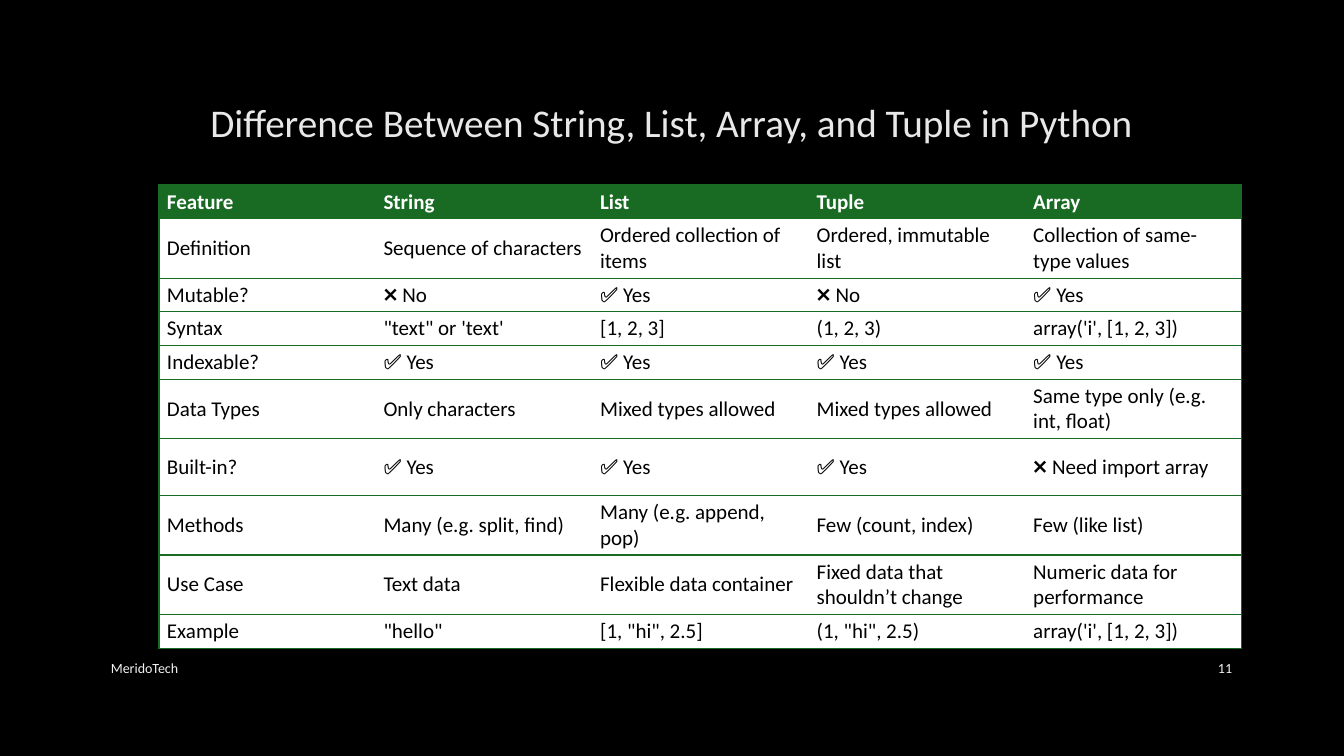
"""Build a slide that compares Python's string, list, tuple and array."""
from lxml.etree import SubElement
from pptx import Presentation
from pptx.dml.color import RGBColor
from pptx.enum.text import MSO_ANCHOR, PP_ALIGN
from pptx.oxml import parse_xml
from pptx.oxml.ns import nsdecls, qn
from pptx.util import Emu, Pt

TITLE = "Difference Between String, List, Array, and Tuple in Python"
ROWS = [
    ("Feature", "String", "List", "Tuple", "Array"),
    ("Definition", "Sequence of characters", "Ordered collection of items",
     "Ordered, immutable list", "Collection of same-type values"),
    ("Mutable?", "❌ No", "✅ Yes", "❌ No", "✅ Yes"),
    ("Syntax", "\"text\" or 'text'", "[1, 2, 3]", "(1, 2, 3)", "array('i', [1, 2, 3])"),
    ("Indexable?", "✅ Yes", "✅ Yes", "✅ Yes", "✅ Yes"),
    ("Data Types", "Only characters", "Mixed types allowed",
     "Mixed types allowed", "Same type only (e.g. int, float)"),
    ("Built-in?", "✅ Yes", "✅ Yes", "✅ Yes", "❌ Need import array"),
    ("Methods", "Many (e.g. split, find)", "Many (e.g. append, pop)",
     "Few (count, index)", "Few (like list)"),
    ("Use Case", "Text data", "Flexible data container",
     "Fixed data that shouldn’t change", "Numeric data for performance"),
    ("Example", '"hello"', '[1, "hi", 2.5]', '(1, "hi", 2.5)', "array('i', [1, 2, 3])"),
]
SHORT, TALL = 33, 57
HEIGHTS = [SHORT, TALL, SHORT, SHORT, SHORT, TALL, TALL, TALL, TALL, SHORT]
FOOT = [
    ("MeridoTech", (101, 648, 736, 40), PP_ALIGN.LEFT),
    ("11", (1159, 648, 83, 40), PP_ALIGN.RIGHT),
]

FONT = "Calibri"
BLACK = RGBColor(0x00, 0x00, 0x00)
WHITE = RGBColor(0xFF, 0xFF, 0xFF)
GREEN = RGBColor(0x19, 0x6B, 0x24)
SILVER = RGBColor(0xE8, 0xE8, 0xE8)
PALE = RGBColor(0xF2, 0xF2, 0xF2)
GRAY = RGBColor(0x40, 0x40, 0x40)
PLAIN = "{2D5ABB26-0587-4C30-8999-92F81FD0307C}"


def px(size):
    """Turn pixels into EMU."""
    return Emu(round(size * 914400 / 100.8))


def write(frame, text, size, color, align=PP_ALIGN.LEFT, bold=False):
    """Add one run to the first paragraph of a frame."""
    line = frame.paragraphs[0]
    line.alignment = align
    run = line.add_run()
    run.text = text
    font = run.font
    font.name, font.size, font.bold = FONT, Pt(size), bold
    font.color.rgb = color
    return run


def place(shape, box):
    """Set the position and size of a shape."""
    shape.left, shape.top, shape.width, shape.height = map(px, box)


def add_title(slide):
    """Fill and format the title."""
    title = slide.shapes.title
    place(title, (101, 68, 1141, 107))
    frame = title.text_frame
    frame.word_wrap = True
    frame.vertical_anchor = MSO_ANCHOR.MIDDLE
    run = write(frame, TITLE, 28, SILVER, PP_ALIGN.CENTER)
    edge = parse_xml(
        f'<a:ln {nsdecls("a")} w="{Pt(0.75)}"><a:solidFill><a:srgbClr val="{GRAY}">'
        '<a:alpha val="10000"/></a:srgbClr></a:solidFill></a:ln>')
    run.font._element.insert(0, edge)


def add_edge(cell, side):
    """Draw one green border of a cell."""
    edge = SubElement(cell._tc.get_or_add_tcPr(), qn(f"a:ln{side}"), w=str(Pt(1)))
    fill = SubElement(edge, qn("a:solidFill"))
    SubElement(fill, qn("a:srgbClr"), val=str(GREEN))


def add_grid(slide):
    """Add the table of features."""
    count = len(ROWS[0])
    box = map(px, (159, 185, 1083, sum(HEIGHTS)))
    table = slide.shapes.add_table(len(ROWS), count, *box).table
    table._tbl.tblPr.find(qn("a:tableStyleId")).text = PLAIN
    table.horz_banding = False
    for col in table.columns:
        col.width = px(1083 / count)
    for i, (row, high) in enumerate(zip(ROWS, HEIGHTS)):
        table.rows[i].height = px(high)
        for j, text in enumerate(row):
            cell = table.cell(i, j)
            sides = "L" * (j == 0) + "R" * (j == count - 1) + "TB"
            for side in sides:
                add_edge(cell, side)
            cell.fill.solid()
            cell.fill.fore_color.rgb = WHITE if i else GREEN
            cell.vertical_anchor = MSO_ANCHOR.MIDDLE
            cell.margin_left = cell.margin_right = px(8)
            cell.margin_top = cell.margin_bottom = px(4)
            write(cell.text_frame, text, 15, BLACK if i else WHITE, bold=i == 0)


def add_foot(slide):
    """Add the footer and the slide number."""
    for text, box, align in FOOT:
        frame = slide.shapes.add_textbox(*map(px, box)).text_frame
        frame.word_wrap = True
        frame.vertical_anchor = MSO_ANCHOR.MIDDLE
        write(frame, text, 10, PALE, align)


def main():
    """Build and save the deck."""
    deck = Presentation()
    deck.slide_width, deck.slide_height = px(1344), px(756)
    slide = deck.slides.add_slide(deck.slide_layouts[5])
    slide.background.fill.solid()
    slide.background.fill.fore_color.rgb = BLACK
    add_title(slide)
    add_grid(slide)
    add_foot(slide)
    deck.save("out.pptx")


if __name__ == "__main__":
    main()
